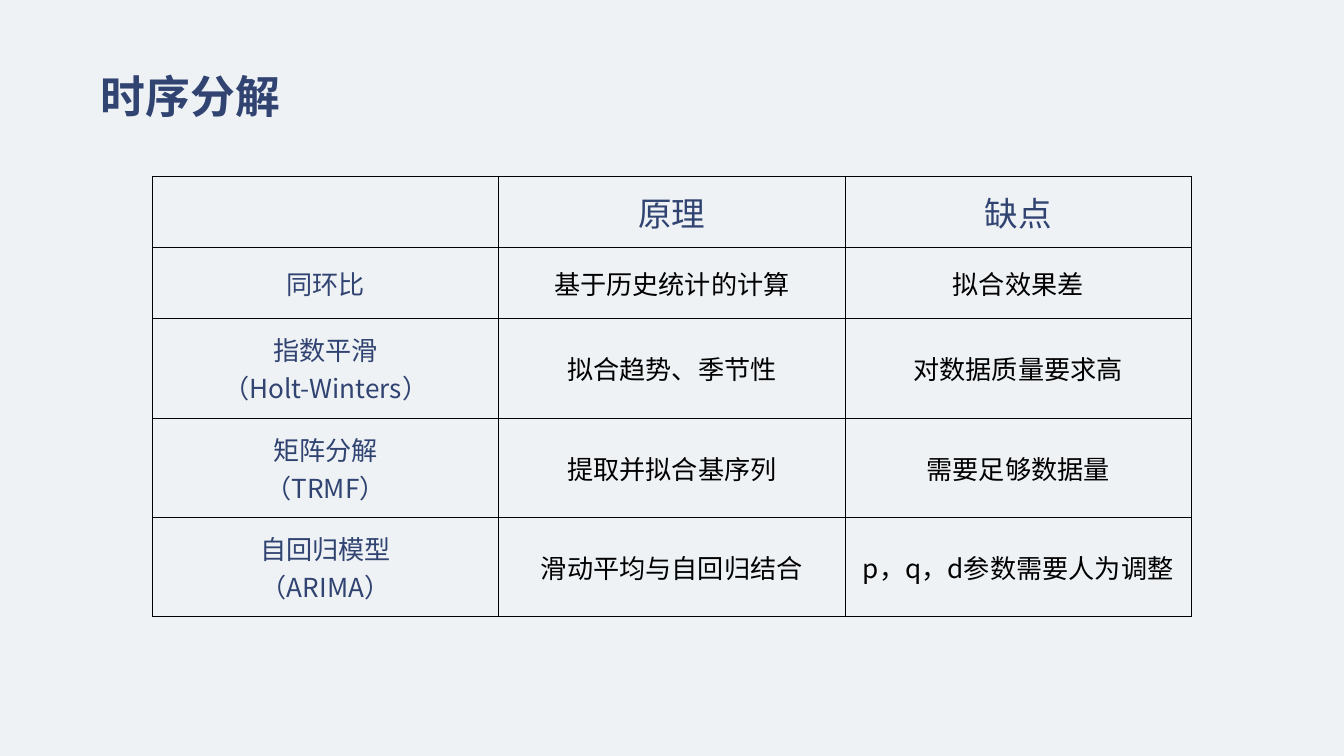
from dataclasses import dataclass

from lxml import etree
from pptx import Presentation
from pptx.dml.color import RGBColor
from pptx.enum.text import MSO_ANCHOR, MSO_AUTO_SIZE, PP_ALIGN
from pptx.oxml.ns import qn
from pptx.util import Inches, Pt

LEFT, CENTER = PP_ALIGN.LEFT, PP_ALIGN.CENTER
MIDDLE = MSO_ANCHOR.MIDDLE
NO_AUTOFIT = MSO_AUTO_SIZE.NONE
TITLE_ONLY = 5


@dataclass(frozen=True)
class Theme:
    font: str = "Noto Sans CJK SC"
    background: str = "EEF2F5"
    accent: str = "304371"
    ink: str = "000000"
    title: int = 24
    header: int = 18
    body: int = 14
    border: float = 0.45


@dataclass(frozen=True)
class Method:
    name: tuple[str, ...]
    principle: str
    drawback: str
    height: float


THEME = Theme()
HEADER = ("", "原理", "缺点")
ONE_LINE, TWO_LINES = 0.53, 0.74
TABLE_WIDTH = 7.73
METHODS = (
    Method(("同环比",), "基于历史统计的计算", "拟合效果差", ONE_LINE),
    Method(("指数平滑", "（Holt-Winters）"), "拟合趋势、季节性", "对数据质量要求高", TWO_LINES),
    Method(("矩阵分解", "（TRMF）"), "提取并拟合基序列", "需要足够数据量", TWO_LINES),
    Method(("自回归模型", "（ARIMA）"), "滑动平均与自回归结合", "p，q，d参数需要人为调整", TWO_LINES),
)


def write(tf, lines: tuple[str, ...], size: int, color: str,
          align=CENTER, bold: bool = False) -> None:
    """Write one paragraph per line in the theme font."""
    for i, line in enumerate(lines):
        p = tf.paragraphs[0] if i == 0 else tf.add_paragraph()
        p.alignment = align
        if not line:
            continue
        r = p.add_run()
        r.text = line
        r.font.size, r.font.bold = Pt(size), bold
        r.font.color.rgb = RGBColor.from_string(color)
        r.font.name = THEME.font
        etree.SubElement(r.font._element, qn("a:ea"), typeface=THEME.font)


def style_cell(cell) -> None:
    """Give a cell thin borders on all sides and no fill."""
    cell.vertical_anchor = MIDDLE
    tc_pr = cell._tc.get_or_add_tcPr()
    for side in ("a:lnL", "a:lnR", "a:lnT", "a:lnB"):
        ln = etree.SubElement(tc_pr, qn(side), w=str(Pt(THEME.border)))
        fill = etree.SubElement(ln, qn("a:solidFill"))
        etree.SubElement(fill, qn("a:srgbClr"), val=THEME.ink)
    cell.fill.background()


def add_title(s, text: str) -> None:
    sp = s.shapes.title
    sp.left, sp.top, sp.width, sp.height = map(Inches, (0.65, 0.46, 1.53, 0.5))
    tf = sp.text_frame
    tf.word_wrap = False
    tf.auto_size = NO_AUTOFIT
    tf.vertical_anchor = MIDDLE
    tf.margin_right = 0  # keeps the title on one line
    write(tf, (text,), THEME.title, THEME.accent, LEFT, bold=True)


def add_methods_table(s, slide_width: int) -> None:
    heights = [ONE_LINE] + [m.height for m in METHODS]
    width = Inches(TABLE_WIDTH)
    table = s.shapes.add_table(
        len(heights), len(HEADER), (slide_width - width) // 2, Inches(1.31),
        width, Inches(sum(heights))).table
    table.first_row = table.horz_banding = False
    for col in table.columns:
        col.width = width // len(HEADER)
    for row, height in zip(table.rows, heights):
        row.height = Inches(height)
    for cell in table.iter_cells():
        style_cell(cell)

    # Header row, then one row per method
    for c, text in enumerate(HEADER):
        write(table.cell(0, c).text_frame, (text,), THEME.header, THEME.accent)
    for r, m in enumerate(METHODS, start=1):
        for c, lines in enumerate((m.name, (m.principle,), (m.drawback,))):
            color = THEME.accent if c == 0 else THEME.ink
            write(table.cell(r, c).text_frame, lines, THEME.body, color)


def main() -> None:
    prs = Presentation()
    prs.slide_width = Inches(10)
    prs.slide_height = prs.slide_width * 9 // 16
    s = prs.slides.add_slide(prs.slide_layouts[TITLE_ONLY])
    s.background.fill.solid()
    s.background.fill.fore_color.rgb = RGBColor.from_string(THEME.background)
    add_title(s, "时序分解")
    add_methods_table(s, prs.slide_width)
    prs.save("out.pptx")


if __name__ == "__main__":
    main()
